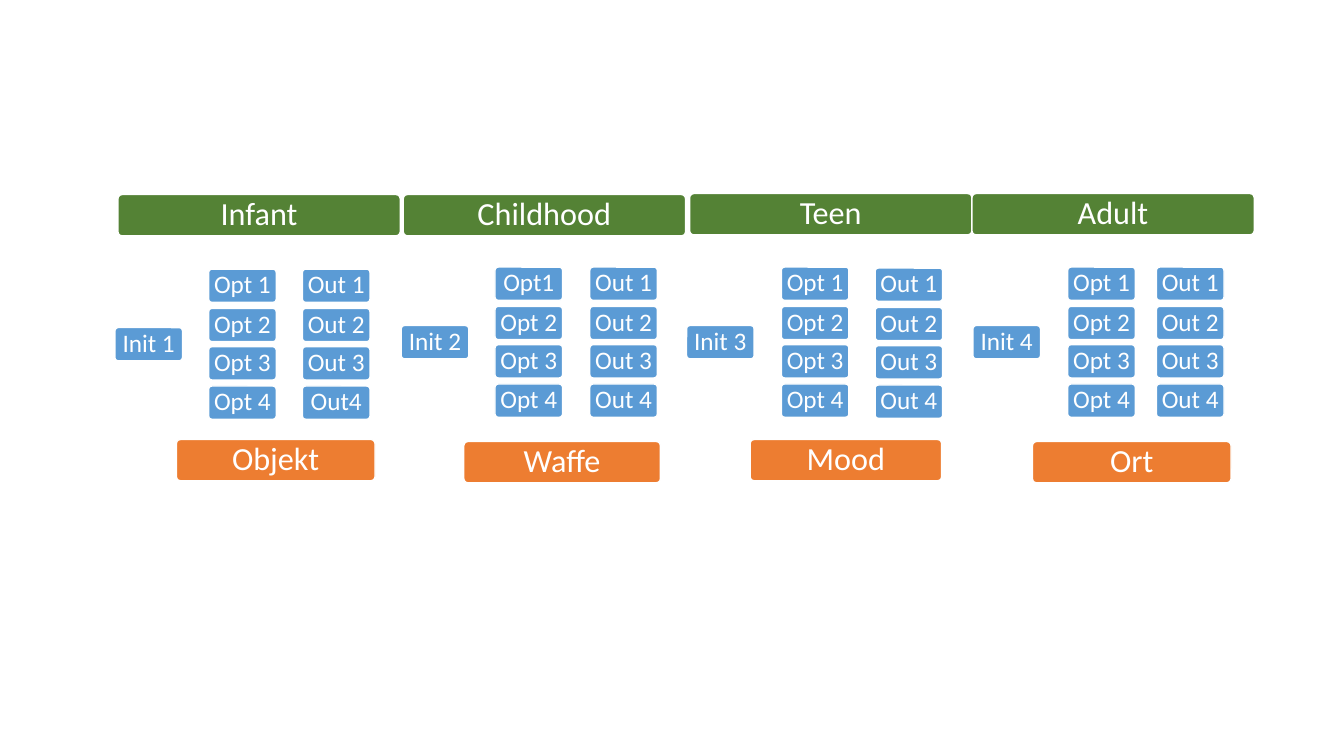
from pptx import Presentation
from pptx import util as u
from pptx.dml.color import RGBColor
from pptx.enum import shapes, text

PX = 9144  # 100 px to the inch
BLUE = RGBColor(0x5B, 0x9B, 0xD5)
GREEN = RGBColor(0x54, 0x82, 0x35)
ORANGE = RGBColor(0xED, 0x7D, 0x31)
WHITE = RGBColor(0xFF, 0xFF, 0xFF)

deck = Presentation()
deck.slide_width, deck.slide_height = 1333 * PX, 750 * PX
slide = deck.slides.add_slide(deck.slide_layouts[6])


def add_box(label, x, y, w, h, fill, size):
    box = slide.shapes.add_shape(
        shapes.MSO_SHAPE.ROUNDED_RECTANGLE, x * PX, y * PX, w * PX, h * PX)
    box.adjustments[0] = 0.1
    box.shadow.inherit = False
    box.fill.solid()
    box.fill.fore_color.rgb = fill
    box.line.color.rgb = WHITE
    box.line.width = u.Pt(1)
    frame = box.text_frame
    frame.text = label
    frame.word_wrap = True
    frame.vertical_anchor = text.MSO_ANCHOR.MIDDLE
    frame.margin_left = frame.margin_right = 2 * PX
    frame.margin_top = frame.margin_bottom = 2 * PX
    line = frame.paragraphs[0]
    line.alignment = text.PP_ALIGN.CENTER
    line.line_spacing = 0.9
    font = line.runs[0].font
    font.name, font.size, font.color.rgb = "Calibri", u.Pt(size), WHITE


def add_small(label, x, y):
    add_box(label, x, y, 67, 33, BLUE, 18)


# Stage: name, x, y; top of options; x, top of outcomes; theme: name, x, y, width
stages = [
    ("Infant", 117, 193, 267, 300, 267, "Objekt", 175, 436, 197),
    ("Childhood", 400, 193, 265, 585, 265, "Waffe", 460, 438, 195),
    ("Teen", 684, 192, 265, 868, 266, "Mood", 744, 436, 190),
    ("Adult", 964, 192, 265, 1147, 265, "Ort", 1024, 438, 197),
]
# Labels written without a space, by stage and row
tight = {(1, 0): ("Opt1", "Out 1"), (0, 3): ("Opt 4", "Out4")}

for i, stage in enumerate(stages):
    name, x, y, opt_y, out_x, out_y, theme, theme_x, theme_y, theme_w = stage

    # Start of the stage
    add_small(f"Init {i + 1}", 114 + round(i * 851 / 3), opt_y + 58)

    # Four options, each with its outcome
    for row in range(4):
        drop = round(row * 116 / 3)
        opt, out = tight.get((i, row), (f"Opt {row + 1}", f"Out {row + 1}"))
        add_small(opt, 207 + 284 * i, opt_y + drop)
        add_small(out, out_x, out_y + drop)

    # Theme below and stage name above
    add_box(theme, theme_x, theme_y, theme_w, 41, ORANGE, 23)
    add_box(name, x, y, 280, 41, GREEN, 23)

deck.save("out.pptx")
